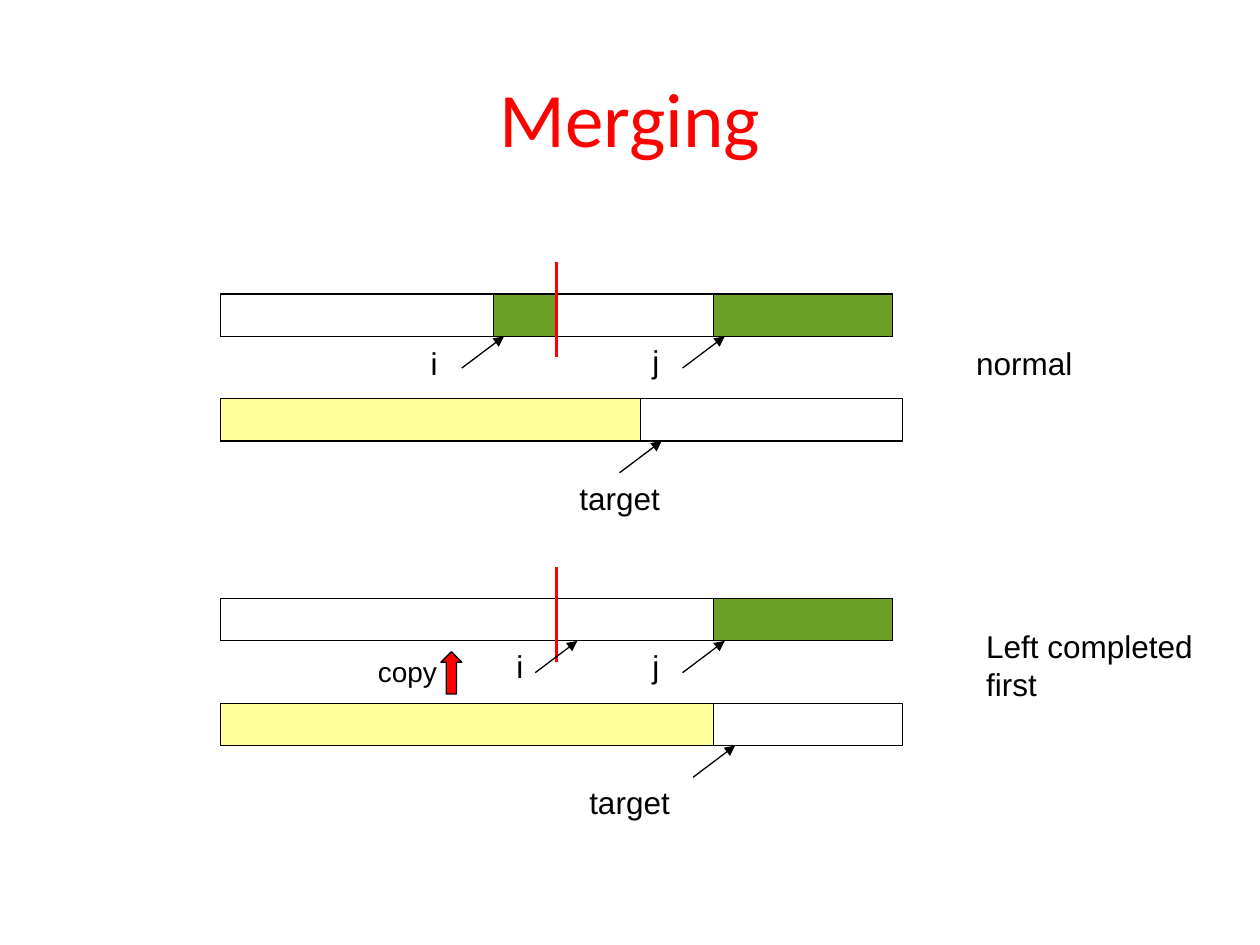
import pptx
import pptx.util
import pptx.dml.color
import pptx.enum.shapes
import pptx.enum.text
import pptx.oxml.ns
from lxml import etree

Cm, Pt = pptx.util.Cm, pptx.util.Pt
KIND = pptx.enum.shapes.MSO_SHAPE

HUES = {"red": "FF0000", "green": "6B9F25", "yellow": "FFFF99", "black": "000000"}
LEFT, MID, STOP, END = 4.45, 11.22, 17.99, 18.2
HIGH, DROP = 0.85, 2.11
RUN, RISE = 0.85, 0.64

PANELS = [
    {
        "top": 5.93,
        "green": [(9.95, MID), (14.39, STOP)],
        "yellow": 12.91,
        "tips": [(10.16, 0), (14.61, 0), (13.34, DROP)],
        "labels": [
            ("i", 8.43, 0.88, 0.66, 1.09, 18),
            ("j", 12.9, 0.85, 0.66, 1.09, 18),
            ("target", 11.43, 3.6, 2.31, 1.09, 18),
            ("normal", 19.43, 0.88, 2.67, 1.09, 18),
        ],
        "copy": None,
    },
    {
        "top": 12.07,
        "green": [(14.39, STOP)],
        "yellow": 14.39,
        "tips": [(11.64, 0), (14.61, 0), (14.82, DROP)],
        "labels": [
            ("i", 10.16, 0.85, 0.66, 1.09, 18),
            ("j", 12.9, 0.85, 0.66, 1.09, 18),
            ("target", 11.63, 3.6, 2.31, 1.09, 18),
            ("Left completed\nfirst", 19.63, 0.45, 5.13, 1.96, 18),
            ("copy", 7.37, 1.01, 1.7, 0.94, 16),
        ],
        "copy": (8.89, 1.07),
    },
]


def hue(name):
    return pptx.dml.color.RGBColor.from_string(HUES[name])


def block(x, y, wide, fill=None, kind=KIND.RECTANGLE):
    shape = slide.shapes.add_shape(kind, Cm(x), Cm(y), Cm(wide), Cm(HIGH))
    shape.shadow.inherit = False
    if fill:
        shape.fill.solid()
        shape.fill.fore_color.rgb = hue(fill)
    else:
        shape.fill.background()
    shape.line.color.rgb = hue("black")
    shape.line.width = Pt(0.75)


def stroke(start, stop, color, width, head=False):
    line = slide.shapes.add_connector(
        pptx.enum.shapes.MSO_CONNECTOR.STRAIGHT, *map(Cm, start + stop))
    line.line.color.rgb = hue(color)
    line.line.width = Pt(width)
    qn = pptx.oxml.ns.qn
    if head:
        etree.SubElement(line.line._get_or_add_ln(), qn("a:tailEnd"), type="triangle")
    etree.SubElement(line._element.spPr, qn("a:effectLst"))


def label(text, x, y, wide, high, size):
    box = slide.shapes.add_textbox(Cm(x), Cm(y), Cm(wide), Cm(high))
    frame = box.text_frame
    frame.text = text
    frame.word_wrap = False
    frame.auto_size = pptx.enum.text.MSO_AUTO_SIZE.SHAPE_TO_FIT_TEXT
    for para in frame.paragraphs:
        para.font.name = "Arial"
        para.font.size = Pt(size)
        para.font.color.rgb = hue("black")


deck = pptx.Presentation()
deck.slide_width, deck.slide_height = Cm(25.4), Cm(19.05)
slide = deck.slides.add_slide(deck.slide_layouts[5])

title = slide.shapes.title
title.left, title.top, title.width, title.height = map(Cm, (1.27, 0.76, 22.86, 3.18))
title.text_frame.text = "Merging"
title.text_frame.vertical_anchor = pptx.enum.text.MSO_ANCHOR.MIDDLE
para = title.text_frame.paragraphs[0]
para.alignment = pptx.enum.text.PP_ALIGN.CENTER
para.font.name = "Calibri"
para.font.size = Pt(44)
para.font.color.rgb = hue("red")

for panel in PANELS:
    top = panel["top"]
    block(LEFT, top + DROP, panel["yellow"] - LEFT, "yellow")
    block(LEFT, top, MID - LEFT)
    block(MID, top, STOP - MID)
    block(LEFT, top + DROP, END - LEFT)
    for start, stop in panel["green"]:
        block(start, top, stop - start, "green")
    stroke((MID, top - 0.64), (MID, top + 1.27), "red", 1.5)
    for x, down in panel["tips"]:
        y = top + down + HIGH
        stroke((x - RUN, y + RISE), (x, y), "black", 0.75, True)
    for text, x, down, wide, high, size in panel["labels"]:
        label(text, x, top + down, wide, high, size)
    if panel["copy"]:
        x, down = panel["copy"]
        block(x, top + down, 0.42, "red", KIND.UP_ARROW)

deck.save("out.pptx")
